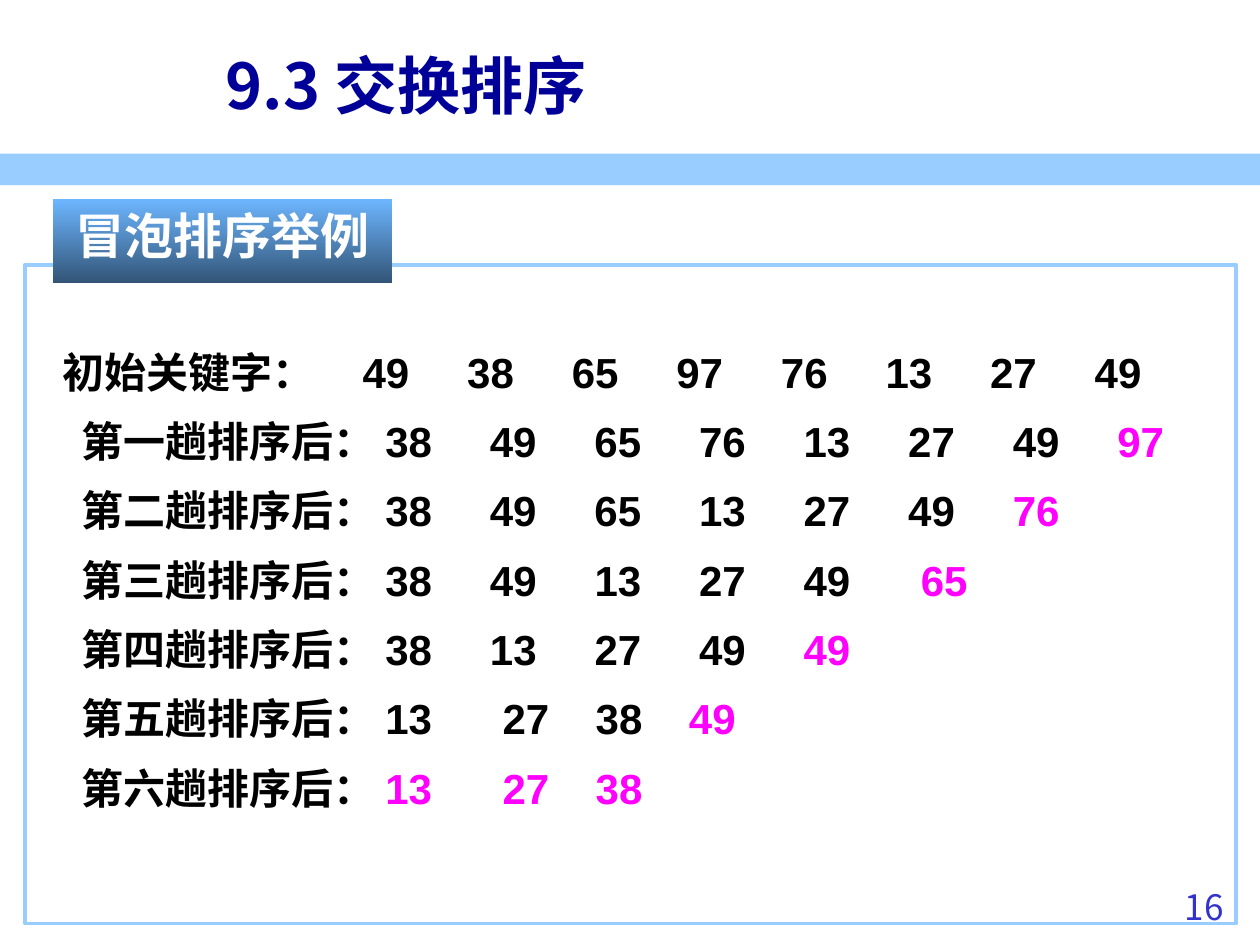
from pptx import Presentation
from pptx.dml.color import RGBColor
from pptx.enum.shapes import MSO_SHAPE as Shape
from pptx.enum.text import MSO_ANCHOR as Anchor, PP_ALIGN as Align
from pptx.oxml.xmlchemy import OxmlElement as Node
from pptx.util import Inches, Pt

SANS, LABEL, BODY = "Noto Sans CJK SC", "Noto Sans CJK KR", "Arial"
BLACK, PINK, SKY = "000000", "FF00FF", "99CCFF"

TITLE = "9.3 交换排序"
TOPIC = "冒泡排序举例"
PAGE = "16"
STEP, WIDE, TIGHT = 0.83, 0.93, 0.74
ROWS = [
    ("初始关键字：", "49 38 65 97 76 13 27 49", "", [STEP] * 7),
    ("第一趟排序后：", "38 49 65 76 13 27 49", "97", [STEP] * 7),
    ("第二趟排序后：", "38 49 65 13 27 49", "76", [STEP] * 6),
    ("第三趟排序后：", "38 49 13 27 49", "65", [STEP] * 4 + [WIDE]),
    ("第四趟排序后：", "38 13 27 49", "49", [STEP] * 4),
    ("第五趟排序后：", "13 27 38", "49", [WIDE, TIGHT, TIGHT]),
    ("第六趟排序后：", "", "13 27 38", [WIDE, TIGHT]),
]
TOP, PITCH = 2.7, 0.55


def color(code):
    return RGBColor.from_string(code)


def style(run, face, size, code, bold=False, east=None):
    font = run.font
    font.name, font.size, font.bold = face, Pt(size), bold
    font.color.rgb = color(code)
    ea = Node("a:ea")
    ea.set("typeface", east or face)
    run._r.rPr.find("{*}latin").addnext(ea)


def write(frame, text, face, size, code, bold=False, align=Align.LEFT):
    frame.text = text
    para = frame.paragraphs[0]
    para.alignment = align
    style(para.runs[0], face, size, code, bold)


def box(left, top, width, height):
    area = slide.shapes.add_textbox(*map(Inches, (left, top, width, height)))
    area.text_frame.word_wrap = True
    return area.text_frame


def rect(left, top, width, height):
    shape = slide.shapes.add_shape(
        Shape.RECTANGLE, *map(Inches, (left, top, width, height)))
    shape.shadow.inherit = False
    return shape


def add_row(row, label, plain, marked, gaps):
    left, first = (0.4, 2.38) if row == 0 else (0.55, 2.41)
    stops = [first + sum(gaps[:n]) for n in range(len(gaps) + 1)]
    frame = box(left, TOP + PITCH * row, stops[-1] + 0.65, 0.5)
    para = frame.paragraphs[0]
    tabs = Node("a:tabLst")
    for stop in stops:
        tab = Node("a:tab")
        tab.set("pos", str(Inches(stop)))
        tab.set("algn", "l")
        tabs.append(tab)
    para._p.get_or_add_pPr().append(tabs)
    parts = [(label, BLACK)]
    parts += [("\t" + key, BLACK) for key in plain.split()]
    parts += [("\t" + key, PINK) for key in marked.split()]
    for text, code in parts:
        run = para.add_run()
        run.text = text
        style(run, BODY, 24, code, True, SANS)


deck = Presentation()
deck.slide_width, deck.slide_height = Inches(10), Inches(7.5)
slide = deck.slides.add_slide(deck.slide_layouts[5])

band = rect(0, 1.22, 10, 0.25)
band.fill.solid()
band.fill.fore_color.rgb = color(SKY)
band.line.fill.background()

write(box(8.86, 6.98, 0.95, 0.52), PAGE, SANS, 20, "3333CC", align=Align.RIGHT)

panel = rect(0.2, 2.1, 9.61, 5.23)
panel.fill.background()
panel.line.color.rgb = color(SKY)
panel.line.width = Pt(2.25)

topic = rect(0.42, 1.58, 2.69, 0.67)
topic.fill.gradient()
topic.fill.gradient_angle = 270
for stop, code in zip(topic.fill.gradient_stops, ("6DB6FF", "325476")):
    stop.color.rgb = color(code)
topic.line.fill.background()
topic.text_frame.vertical_anchor = Anchor.TOP
write(topic.text_frame, TOPIC, LABEL, 28, "FFFFFF", True, Align.CENTER)

title = slide.shapes.title
title.left, title.top = Inches(1.69), Inches(0.21)
title.width, title.height = Inches(8.19), Inches(0.92)
title.text_frame.vertical_anchor = Anchor.MIDDLE
write(title.text_frame, TITLE, SANS, 36, "000099", True)

for row, data in enumerate(ROWS):
    add_row(row, *data)

deck.save("out.pptx")
